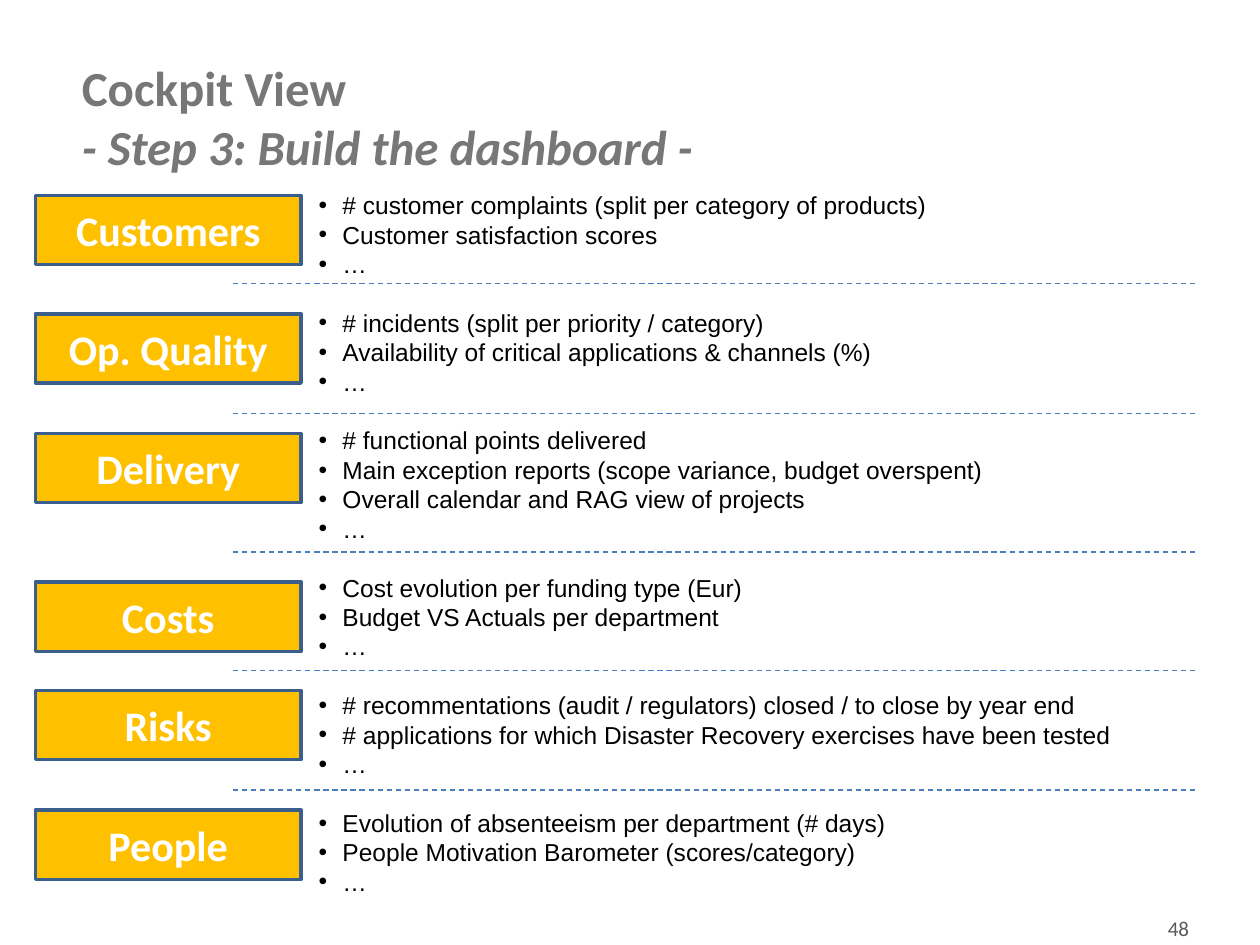
import pptx
import pptx.util
import pptx.dml.color
import pptx.enum.dml
import pptx.enum.shapes
import pptx.enum.text
from lxml import etree

Inches = pptx.util.Inches
Pt = pptx.util.Pt
ALIGN = pptx.enum.text.PP_ALIGN
ANCHOR = pptx.enum.text.MSO_ANCHOR

TITLE = [("Cockpit View", False), ("- Step 3: Build the dashboard -", True)]
PAGE_NUMBER = "48"
SECTIONS = [
    ("Customers", 1.55, [
        "# customer complaints (split per category of products)",
        "Customer satisfaction scores",
        "…",
    ]),
    ("Op. Quality", 2.49, [
        "# incidents (split per priority / category)",
        "Availability of critical applications & channels (%)",
        "…",
    ]),
    ("Delivery", 3.44, [
        "# functional points delivered",
        "Main exception reports (scope variance, budget overspent)",
        "Overall calendar and RAG view of projects",
        "…",
    ]),
    ("Costs", 4.62, [
        "Cost evolution per funding type (Eur)",
        "Budget VS Actuals per department",
        "…",
    ]),
    ("Risks", 5.48, [
        "# recommentations (audit / regulators) closed / to close by year end",
        "# applications for which Disaster Recovery exercises have been tested",
        "…",
    ]),
    ("People", 6.43, [
        "Evolution of absenteeism per department (# days)",
        "People Motivation Barometer (scores/category)",
        "…",
    ]),
]
DIVIDERS = [2.25, 3.28, 4.38, 5.32, 6.27]

THEME = {
    "heading_font": "Calibri", "body_font": "Arial",
    "title": "777777", "label": "FFFFFF", "body": "000000", "page": "595959",
    "label_fill": "FFC000", "label_line": "3A5F8C", "divider": "4B7EBC",
    "title_size": 28, "label_size": 24, "body_size": 14, "page_size": 12,
    "body_pitch": 16.8,
}


def rgb(name):
    return pptx.dml.color.RGBColor.from_string(THEME[name])


def write(frame, text, *, role, font="heading_font", bold=False, italic=False,
          align=ALIGN.LEFT, bullet=False, pitch=None, before=0):
    first = not frame.paragraphs[0].runs
    paragraph = frame.paragraphs[0] if first else frame.add_paragraph()
    paragraph.alignment = align
    paragraph.space_before = Pt(0 if first else before)
    if pitch:
        paragraph.line_spacing = Pt(pitch)
    if bullet:
        properties = paragraph._p.get_or_add_pPr()
        properties.set("marL", str(Inches(0.19)))
        properties.set("indent", str(Inches(-0.19)))
        namespace = pptx.oxml.ns.qn("a:buFont"), pptx.oxml.ns.qn("a:buChar")
        etree.SubElement(properties, namespace[0], typeface=THEME["body_font"])
        etree.SubElement(properties, namespace[1], char="•")
    run = paragraph.add_run()
    run.text = text
    run.font.name = THEME[font]
    run.font.size = Pt(THEME[role + "_size"])
    run.font.color.rgb = rgb(role)
    run.font.bold = bold
    run.font.italic = italic


def add_text_box(slide, left, top, width, height):
    frame = slide.shapes.add_textbox(
        Inches(left), Inches(top), Inches(width), Inches(height)).text_frame
    frame.word_wrap = True
    return frame


def add_label(slide, text, top):
    shape = slide.shapes.add_shape(
        pptx.enum.shapes.MSO_SHAPE.RECTANGLE,
        Inches(0.28), Inches(top), Inches(2.11), Inches(0.55))
    shape.shadow.inherit = False
    shape.fill.solid()
    shape.fill.fore_color.rgb = rgb("label_fill")
    shape.line.color.rgb = rgb("label_line")
    shape.line.width = Pt(2)
    shape.text_frame.vertical_anchor = ANCHOR.MIDDLE
    write(shape.text_frame, text, role="label", bold=True, align=ALIGN.CENTER)


def add_divider(slide, top):
    connector = slide.shapes.add_connector(
        pptx.enum.shapes.MSO_CONNECTOR.STRAIGHT,
        Inches(1.85), Inches(top), Inches(9.49), Inches(top))
    connector.line.color.rgb = rgb("divider")
    connector.line.width = Pt(0.75)
    connector.line.dash_style = pptx.enum.dml.MSO_LINE.DASH
    etree.SubElement(connector._element.spPr, pptx.oxml.ns.qn("a:effectLst"))


def main():
    presentation = pptx.Presentation()
    presentation.slide_width = Inches(10)
    presentation.slide_height = Inches(7.5)
    slide = presentation.slides.add_slide(presentation.slide_layouts[6])

    write(add_text_box(slide, 9.17, 7.22, 0.75, 0.21), PAGE_NUMBER, role="page")

    title = add_text_box(slide, 0.65, 0.44, 9.24, 1)
    title.margin_left = 0
    title.vertical_anchor = ANCHOR.BOTTOM
    for text, italic in TITLE:
        write(title, text, role="title", bold=True, italic=italic)

    indicators = add_text_box(slide, 2.43, 1.46, 7.53, 5.76)
    pitch = THEME["body_pitch"]
    for name, top, items in SECTIONS:
        add_label(slide, name, top)
        for index, item in enumerate(items):
            write(indicators, item, role="body", font="body_font", bullet=True,
                  pitch=pitch, before=0 if index else pitch)

    for top in DIVIDERS:
        add_divider(slide, top)

    presentation.save("out.pptx")


if __name__ == "__main__":
    main()
